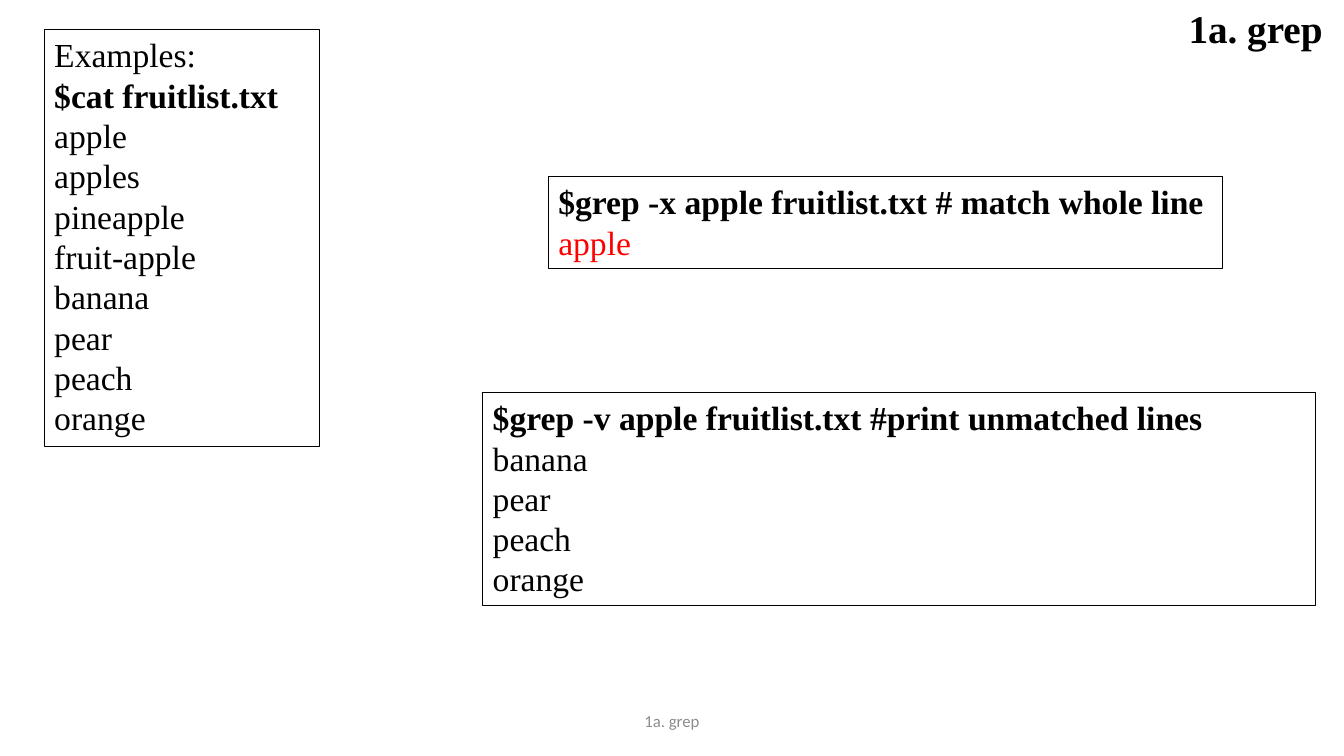
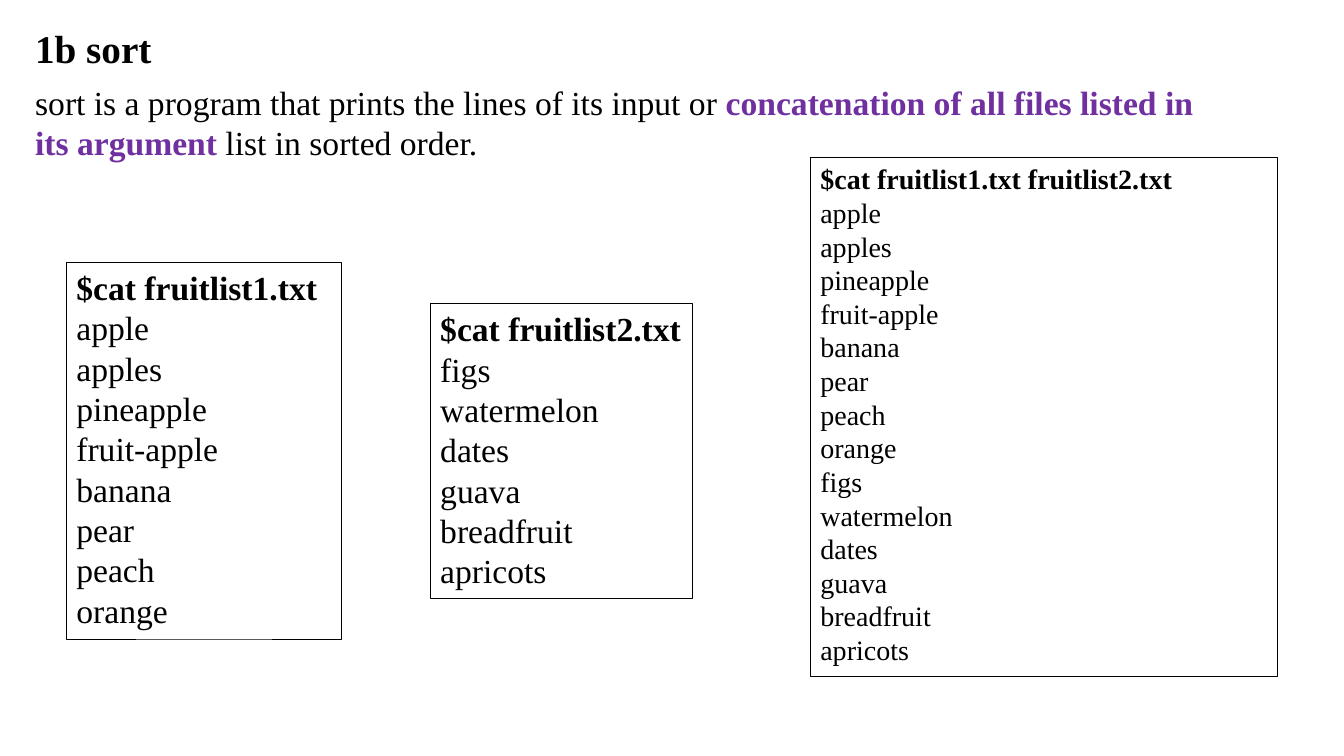
from pptx import Presentation
from pptx.dml.color import RGBColor
from pptx.enum.shapes import MSO_SHAPE
from pptx.enum.text import MSO_ANCHOR, MSO_AUTO_SIZE, PP_ALIGN
from pptx.util import Pt

RECTANGLE = MSO_SHAPE.RECTANGLE
TOP, MIDDLE = MSO_ANCHOR.TOP, MSO_ANCHOR.MIDDLE
GROW, FIXED = MSO_AUTO_SIZE.SHAPE_TO_FIT_TEXT, MSO_AUTO_SIZE.NONE
LEFT, CENTER, JUSTIFY = PP_ALIGN.LEFT, PP_ALIGN.CENTER, PP_ALIGN.JUSTIFY

BLACK, RED, PURPLE, GRAY = "000000", "FF0000", "7030A0", "8C8C8C"
BODY = {"name": "Times New Roman", "size": Pt(24), "bold": False}
COMMAND = {"bold": True}
TITLE = {"size": Pt(28), "bold": True}
FOOTER = {"name": "Calibri", "size": Pt(12)}

UNMATCHED = ["banana", "pear", "peach", "orange"]
FRUITS = ["apple", "apples", "pineapple", "fruit-apple"] + UNMATCHED
MORE_FRUITS = ["figs", "watermelon", "dates", "guava", "breadfruit", "apricots"]


def paint(target, color):
    """Give a font or line fill one solid hex colour."""
    target.solid()
    target.fore_color.rgb = RGBColor.from_string(color)


def add_span(para, text, color=BLACK, **values):
    """Add a run in the body format, changed by the given values."""
    span = para.add_run()
    span.text = text
    for name, value in {**BODY, **values}.items():
        setattr(span.font, name, value)
    paint(span.font.fill, color)


def set_frame(box, **values):
    """Set the text frame of a box: top anchored, wrapping and growing."""
    defaults = {"word_wrap": True, "auto_size": GROW, "vertical_anchor": TOP}
    for name, value in {**defaults, **values}.items():
        setattr(box.text_frame, name, value)


def add_text(page, place, align=LEFT, **frame):
    """Add a text box and return its first paragraph."""
    box = page.shapes.add_textbox(*map(Pt, place))
    set_frame(box, **frame)
    para = box.text_frame.paragraphs[0]
    para.alignment = align
    return para


def add_listing(page, place, lines, size=24, line_width=0.5):
    """Add an outlined box with one paragraph for each (text, format) line."""
    box = page.shapes.add_shape(RECTANGLE, *map(Pt, place))
    box.shadow.inherit = False
    box.fill.background()
    paint(box.line.fill, BLACK)
    box.line.width = Pt(line_width)
    set_frame(box)
    for index, (text, values) in enumerate(lines):
        frame = box.text_frame
        para = frame.add_paragraph() if index else frame.paragraphs[0]
        para.alignment = LEFT
        add_span(para, text, **{"size": Pt(size), **values})


def session(command, output, **values):
    """Return the lines of a bold command and its output."""
    return [(command, COMMAND)] + [(line, values) for line in output]


def build_grep(page):
    """Build the slide about grep."""
    examples = [("Examples:", {})] + session("$cat fruitlist.txt", FRUITS)
    add_listing(page, (31.7, 20.9, 196.6, 298.1), examples, line_width=0.75)
    whole = session("$grep -x apple fruitlist.txt # match whole line",
                    ["apple"], color=RED)
    add_listing(page, (391.7, 126, 481, 65.5), whole, line_width=0.25)
    inverse = session("$grep -v apple fruitlist.txt #print unmatched lines",
                      UNMATCHED)
    add_listing(page, (344.9, 280.1, 594.7, 152.6), inverse)
    footer = add_text(page, (318, 500.5, 324, 28.75), CENTER,
                      auto_size=FIXED, vertical_anchor=MIDDLE)
    add_span(footer, "1a. grep", GRAY, **FOOTER)
    title = add_text(page, (841.9, -0.7, 149, 41), JUSTIFY)
    add_span(title, "1a. grep", **TITLE)


def build_sort(page):
    """Build the slide about sort."""
    title = add_text(page, (18, 13.7, 98.6, 41), word_wrap=False)
    add_span(title, "1b sort", **TITLE)
    summary = add_text(page, (18, 54.7, 855.4, 65.5))
    add_span(summary, "sort is a program that prints the lines of its input or ")
    add_span(summary, "concatenation of all files listed in its argument",
             PURPLE, bold=True)
    add_span(summary, " list in sorted order.")
    add_listing(page, (47.5, 187.2, 196.6, 269.3),
                session("$cat fruitlist1.txt", FRUITS))
    add_listing(page, (307.4, 216.7, 187.2, 211),
                session("$cat fruitlist2.txt", MORE_FRUITS))
    add_listing(page, (578.9, 112.1, 333.4, 371),
                session("$cat fruitlist1.txt fruitlist2.txt",
                        FRUITS + MORE_FRUITS), size=20)


def main():
    """Build and save the deck."""
    deck = Presentation()
    deck.slide_width, deck.slide_height = Pt(960), Pt(540)
    for build in (build_grep, build_sort):
        build(deck.slides.add_slide(deck.slide_layouts[6]))
    deck.save("out.pptx")


main()
